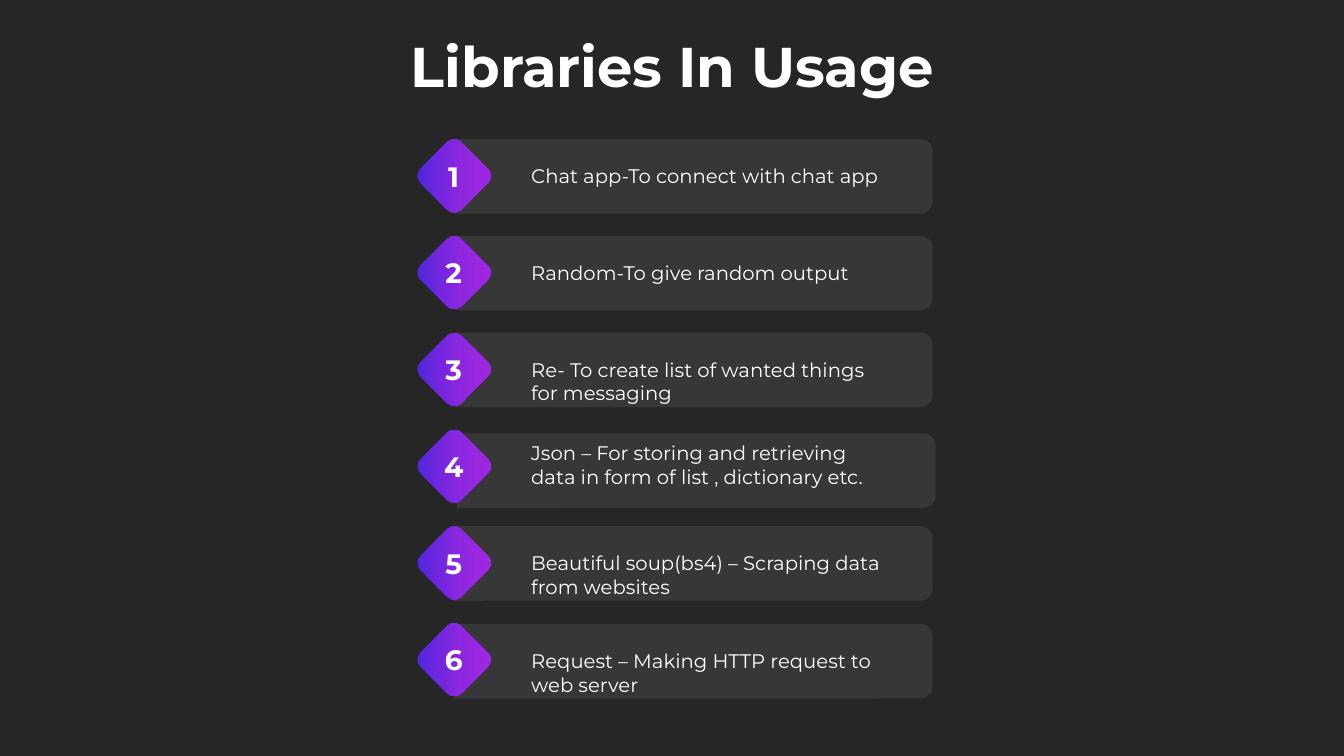
from lxml.etree import SubElement
from pptx import Presentation
from pptx.dml.color import RGBColor
from pptx.enum.shapes import MSO_SHAPE
from pptx.enum.text import MSO_AUTO_SIZE, PP_ALIGN
from pptx.oxml.ns import qn
from pptx.util import Inches, Pt

BACKGROUND = RGBColor(0x26, 0x26, 0x26)
WHITE = RGBColor(0xFF, 0xFF, 0xFF)
VIOLET_STOPS = [
    (0, RGBColor(0x48, 0x26, 0xDC)),
    (3, RGBColor(0x4D, 0x26, 0xDC)),
    (32, RGBColor(0x72, 0x26, 0xDE)),
    (58, RGBColor(0x8D, 0x27, 0xE0)),
    (82, RGBColor(0x9D, 0x27, 0xE1)),
    (100, RGBColor(0xA3, 0x27, 0xE1)),
]
FONT = "Montserrat"

ROW_LEFT, ROW_TOP, ROW_PITCH = 4.13, 1.38, 0.96
BAR_WIDTH, BAR_HEIGHT = 4.75, 0.74
DIAMOND_SIDE = 0.57

# Description, its drop inside the row, and the shift (x, y) of the bar
LIBRARIES = [
    ("Chat app-To connect with chat app", 0.2, (0, 0)),
    ("Random-To give random output", 0.2, (0, 0)),
    ("Re- To create list of wanted things for messaging", 0.2, (0, 0)),
    ("Json – For storing and retrieving data in form of list , dictionary etc.",
     0.07, (0.03, 0.04)),
    ("Beautiful soup(bs4) – Scraping data from websites", 0.2, (0, 0)),
    ("Request – Making HTTP request to web server", 0.21, (0, 0.01)),
]


def add_text(shapes, text, left, top, width, height, *, size, bold=False,
             align=PP_ALIGN.LEFT):
    box = shapes.add_textbox(Inches(left), Inches(top), Inches(width), Inches(height))
    frame = box.text_frame
    frame.word_wrap = True
    frame.auto_size = MSO_AUTO_SIZE.SHAPE_TO_FIT_TEXT
    paragraph = frame.paragraphs[0]
    paragraph.alignment = align
    run = paragraph.add_run()
    run.text = text
    run.font.name = FONT
    run.font.size = Pt(size)
    run.font.bold = bold
    run.font.color.rgb = WHITE


def add_rotated(shapes, preset, left, top, width, height, rotation):
    shape = shapes.add_shape(
        preset, Inches(left), Inches(top), Inches(width), Inches(height))
    shape.rotation = rotation
    shape.shadow.inherit = False
    shape.line.fill.background()
    return shape


def fill_translucent(shape, color, percent):
    shape.fill.solid()
    shape.fill.fore_color.rgb = color
    color_node = shape.fill._xPr.find(".//" + qn("a:srgbClr"))
    SubElement(color_node, qn("a:alpha"), val=str(percent * 1000))


def fill_gradient(shape, stops, angle):
    shape.fill.gradient()
    shape.fill.gradient_angle = angle
    stop_list = shape.fill._xPr.find(".//" + qn("a:gsLst"))
    for default_stop in list(stop_list):
        stop_list.remove(default_stop)
    for percent, color in stops:
        stop = SubElement(stop_list, qn("a:gs"), pos=str(percent * 1000))
        SubElement(stop, qn("a:srgbClr"), val=str(color))


def add_title(slide, text, left, top, width, height):
    add_text(slide.shapes, text, left, top, width, height,
             size=40, bold=True, align=PP_ALIGN.CENTER)


def add_library_row(slide, number, description, left, top, text_drop, bar_shift):
    row = slide.shapes.add_group_shape().shapes

    # Bar: a quarter turn puts its rounded corners on the right
    center_x = left + 0.37 + BAR_WIDTH / 2 + bar_shift[0]
    center_y = top + BAR_HEIGHT / 2 + bar_shift[1]
    bar = add_rotated(row, MSO_SHAPE.ROUND_2_SAME_RECTANGLE,
                      center_x - BAR_HEIGHT / 2, center_y - BAR_WIDTH / 2,
                      BAR_HEIGHT, BAR_WIDTH, 90)
    fill_translucent(bar, WHITE, 8)

    # Diamond
    diamond = add_rotated(row, MSO_SHAPE.ROUNDED_RECTANGLE, left + 0.09, top + 0.08,
                          DIAMOND_SIDE, DIAMOND_SIDE, 45)
    fill_gradient(diamond, VIOLET_STOPS, 45)

    # Description and number
    add_text(row, description, left + 1.04, top + text_drop, 3.8, 0.57, size=14)
    add_text(row, str(number), left + 0.11, top + 0.15, 0.52, 0.44,
             size=20, bold=True, align=PP_ALIGN.CENTER)


def main():
    presentation = Presentation()
    presentation.slide_width = Inches(13.33)
    presentation.slide_height = Inches(7.5)
    slide = presentation.slides.add_slide(presentation.slide_layouts[6])
    slide.background.fill.solid()
    slide.background.fill.fore_color.rgb = BACKGROUND

    add_title(slide, "Libraries In Usage", 0.01, 0.26, 13.32, 0.77)
    for index, (description, text_drop, bar_shift) in enumerate(LIBRARIES):
        add_library_row(slide, index + 1, description, ROW_LEFT,
                        ROW_TOP + index * ROW_PITCH, text_drop, bar_shift)

    presentation.save("out.pptx")


if __name__ == "__main__":
    main()
